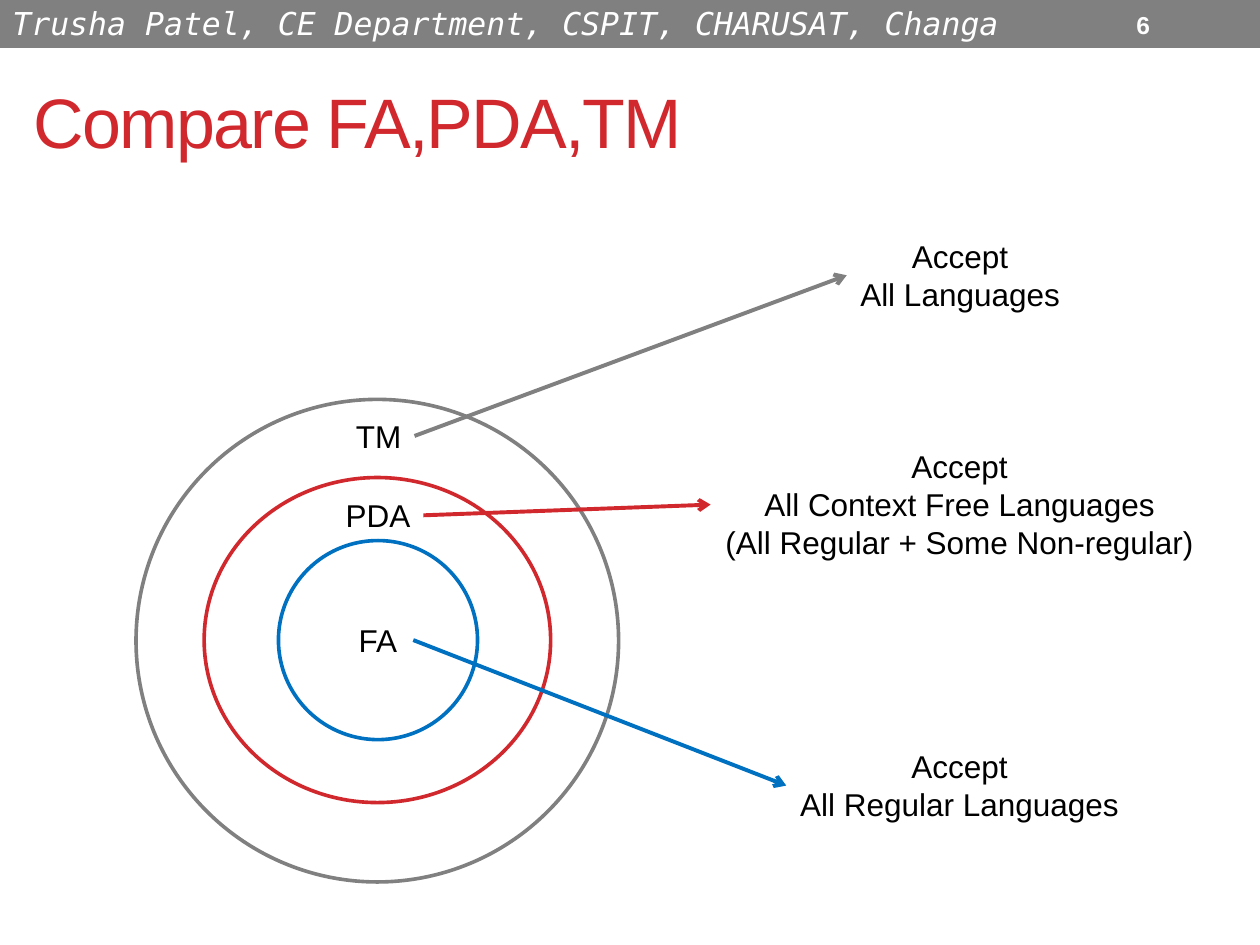
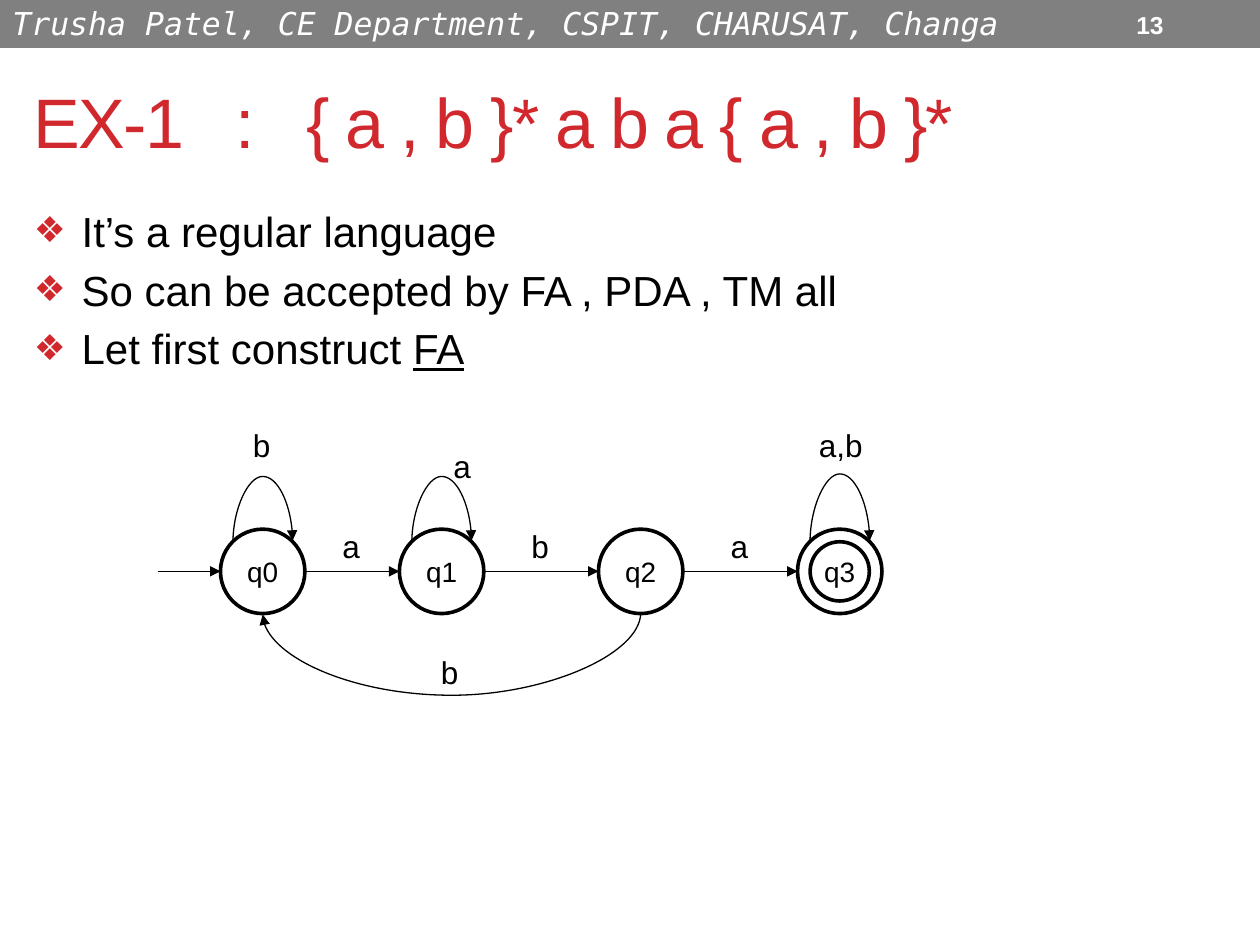
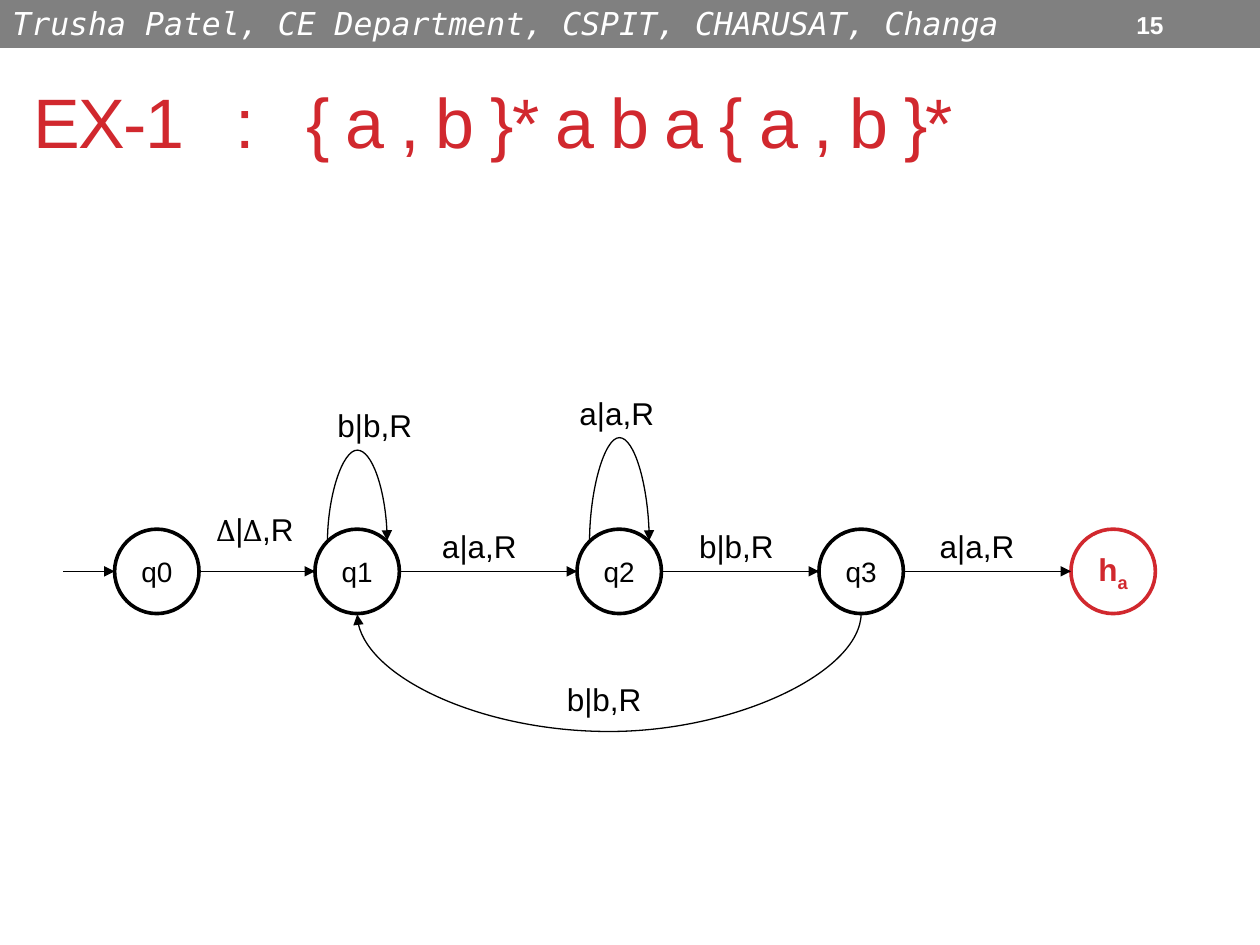
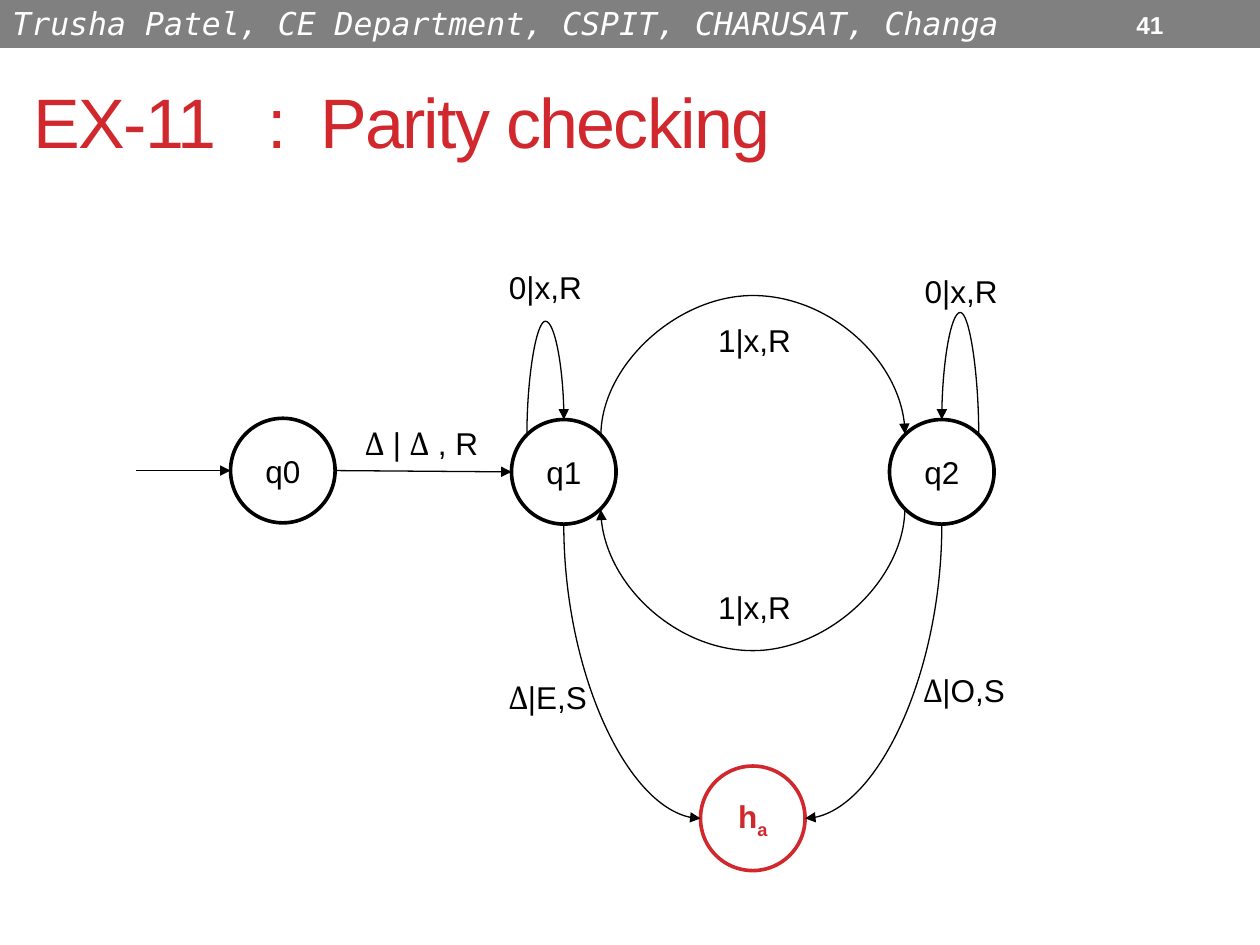
from itertools import groupby
from math import cos, radians, sin

from lxml import etree
from pptx import Presentation
from pptx.dml.color import RGBColor
from pptx.enum.shapes import MSO_CONNECTOR, MSO_SHAPE
from pptx.enum.text import MSO_ANCHOR, MSO_AUTO_SIZE, PP_ALIGN
from pptx.oxml.ns import qn
from pptx.util import Inches, Pt

STRAIGHT, CURVE = MSO_CONNECTOR.STRAIGHT, MSO_CONNECTOR.CURVE
RECTANGLE, OVAL = MSO_SHAPE.RECTANGLE, MSO_SHAPE.OVAL
MIDDLE, CENTER, LEFT_ALIGN = MSO_ANCHOR.MIDDLE, PP_ALIGN.CENTER, PP_ALIGN.LEFT
FIT_TEXT = MSO_AUTO_SIZE.SHAPE_TO_FIT_TEXT

RED, GREY, BLUE, BLACK, WHITE = "D1282E", "808080", "0070C0", "000000", "FFFFFF"
RING_WIDTH = 2.08
DELTAS = "∆Δ"
rgb = RGBColor.from_string

# Connection sites of an ellipse, counterclockwise from the top
TOP, TOP_LEFT, LEFT, BOTTOM_LEFT, BOTTOM, BOTTOM_RIGHT, RIGHT, TOP_RIGHT = range(8)
CORNER = "corner"
FLAT = 1 / 72  # least depth of a curved connector, in inches


def write_line(para, text, size, colour=BLACK, font="Arial", align=LEFT_ALIGN):
    """Fill a paragraph, with the deltas in spans of their own; return the spans."""
    para.alignment = align
    spans = []
    for is_delta, letters in groupby(text, lambda letter: letter in DELTAS):
        span = para.add_run()
        span.text = "".join(letters)
        span.font.name = "Cambria" if is_delta else font
        span.font.size = Pt(size)
        span.font.color.rgb = rgb(colour)
        spans.append(span)
    return spans


def add_arrow(page, kind, start, end, colour, width, head):
    arrow = page.shapes.add_connector(kind, *map(Inches, start + end))
    arrow.line.color.rgb = rgb(colour)
    arrow.line.width = Pt(width)
    etree.SubElement(arrow.line._get_or_add_ln(), qn("a:tailEnd"), type=head)
    etree.SubElement(arrow._element.spPr, qn("a:effectLst"))
    return arrow


deck = Presentation()
deck.slide_width, deck.slide_height = Inches(10), Inches(7.5)
blank = deck.slide_layouts[6]

# Band, slide number and title of every slide
aba_title = "EX-1   :   { a , b }* a b a { a , b }*"
headings = [
    ("6", "Compare FA,PDA,TM"),
    ("13", aba_title),
    ("15", aba_title),
    ("41", "EX-11   :  Parity checking"),
]
pages = []
for number, title in headings:
    page = deck.slides.add_slide(blank)
    pages.append(page)
    band = page.shapes.add_shape(RECTANGLE, 0, Inches(-0.02), Inches(10), Inches(0.4))
    band.shadow.inherit = False
    band.fill.solid()
    band.fill.fore_color.rgb = rgb(GREY)
    band.line.color.rgb = rgb(GREY)
    band.line.width = Pt(0.75)
    band.text_frame.vertical_anchor = MSO_ANCHOR.TOP
    author = write_line(band.text_frame.paragraphs[0],
                        "Trusha Patel, CE Department, CSPIT, CHARUSAT, Changa",
                        18, WHITE, "DejaVu Sans Mono")
    author[0].font.italic = True

    box = page.shapes.add_textbox(Inches(0.17), Inches(0.42), Inches(9.67), Inches(1.08))
    box.text_frame.word_wrap = True
    box.text_frame.vertical_anchor = MIDDLE
    for span in write_line(box.text_frame.paragraphs[0], title, 40, RED):
        span.font._element.set("spc", "-100")

    box = page.shapes.add_textbox(Inches(8.92), Inches(0.02), Inches(0.58), Inches(0.35))
    box.text_frame.word_wrap = True
    box.text_frame.vertical_anchor = MIDDLE
    write_line(box.text_frame.paragraphs[0], number, 14, WHITE)[0].font.bold = True

# Slide 1: nested language classes
compare = pages[0]
rings = [
    (2.21, 4.29, 1.58, 1.58, BLUE, "FA"),
    (1.62, 3.79, 2.75, 2.58, RED, ""),
    (1.08, 3.17, 3.83, 3.83, GREY, ""),
]
for left, top, width, height, colour, name in rings:
    ring = compare.shapes.add_shape(OVAL, *map(Inches, (left, top, width, height)))
    ring.shadow.inherit = False
    ring.fill.background()
    ring.line.color.rgb = rgb(colour)
    ring.line.width = Pt(RING_WIDTH)
    write_line(ring.text_frame.paragraphs[0], name, 18, align=CENTER)

captions = {
    "PDA": (2.64, 3.89, 0.72, 0.4, ["PDA"]),
    "TM": (2.72, 3.26, 0.57, 0.4, ["TM"]),
    "regular": (6.24, 5.88, 2.75, 0.71, ["Accept", "All Regular Languages"]),
    "context free": (5.64, 3.5, 3.95, 1.01, ["Accept", "All Context Free Languages",
                                             "(All Regular + Some Non-regular)"]),
    "all": (6.72, 1.83, 1.8, 0.71, ["Accept", "All Languages"]),
}
caption_boxes = {}
for name, (left, top, width, height, lines) in captions.items():
    box = compare.shapes.add_textbox(*map(Inches, (left, top, width, height)))
    box.text_frame.word_wrap = False
    box.text_frame.auto_size = FIT_TEXT
    for index, line in enumerate(lines):
        para = box.text_frame.add_paragraph() if index else box.text_frame.paragraphs[0]
        write_line(para, line, 18, align=CENTER)
    caption_boxes[name] = box

accepts = [
    ("TM", (3.28, 3.46), "all", (6.72, 2.19), GREY),
    ("PDA", (3.36, 4.09), "context free", (5.64, 4), RED),
    ("FA", (3.28, 5.08), "regular", (6.24, 6.23), BLUE),
]
for machine, start, language, end, colour in accepts:
    arrow = add_arrow(compare, STRAIGHT, start, end, colour, 2.25, "arrow")
    if machine in caption_boxes:
        arrow.begin_connect(caption_boxes[machine], 3)
    arrow.end_connect(caption_boxes[language], 1)

# Slide 2: bullets above the automaton
box = pages[1].shapes.add_textbox(Inches(0.17), Inches(1.58), Inches(9.67), Inches(1.6))
box.text_frame.word_wrap = True
bullets = [["It’s a regular language"], ["So can be accepted by FA , PDA , TM all"],
           ["Let first construct ", "FA"]]
for index, parts in enumerate(bullets):
    para = box.text_frame.add_paragraph() if index else box.text_frame.paragraphs[0]
    for part in parts:
        span = write_line(para, part, 24)[0]
        span.font.underline = True if part == "FA" else None
    style = para._p.get_or_add_pPr()
    style.set("marL", str(Inches(0.38)))
    style.set("indent", str(Inches(-0.38)))
    spacing = etree.SubElement(style, qn("a:spcBef"))
    etree.SubElement(spacing, qn("a:spcPct"), val="20000")
    bullet_colour = etree.SubElement(style, qn("a:buClr"))
    etree.SubElement(bullet_colour, qn("a:srgbClr"), val=RED)
    etree.SubElement(style, qn("a:buSzPct"), val="85000")
    etree.SubElement(style, qn("a:buFont"), typeface="Arial")
    etree.SubElement(style, qn("a:buChar"), char="❖")

# Slides 2 to 4: state diagrams
# states: name -> left, top; arrows: from, site, to, site, height of the bend
# labels: text, left, top, width
machines = [
    dict(
        page=pages[1], size=0.67, font_size=16, entry=1.25,
        states={"q0": (1.75, 4.2), "q1": (3.17, 4.2), "q2": (4.75, 4.2), "q3": (6.33, 4.2)},
        arrows=[
            ("q0", RIGHT, "q1", LEFT, None),
            ("q1", RIGHT, "q2", LEFT, None),
            ("q2", RIGHT, "q3", LEFT, None),
            ("q0", TOP_LEFT, "q0", TOP_RIGHT, 3.77),
            ("q1", TOP_LEFT, "q1", TOP_RIGHT, 3.77),
            ("q3", TOP_LEFT, "q3", TOP_RIGHT, 3.75),
            ("q2", BOTTOM, "q0", BOTTOM, 5.53),
        ],
        labels=[
            ("b", 1.91, 3.33, 0.34), ("b", 4.12, 4.13, 0.34), ("b", 3.4, 5.13, 0.34),
            ("a,b", 6.4, 3.33, 0.55), ("a", 2.62, 4.13, 0.34), ("a", 3.5, 3.5, 0.34),
            ("a", 5.7, 4.13, 0.34),
        ],
    ),
    dict(
        page=pages[2], size=0.67, font_size=16, entry=0.5,
        states={"q0": (0.91, 4.2), "q1": (2.5, 4.2), "q2": (4.58, 4.2), "q3": (6.5, 4.2),
                "ha": (8.5, 4.2)},
        arrows=[
            ("q0", RIGHT, "q1", LEFT, None),
            ("q1", RIGHT, "q2", LEFT, None),
            ("q2", RIGHT, "q3", LEFT, None),
            ("q3", RIGHT, "ha", LEFT, None),
            ("q1", TOP_LEFT, "q1", TOP_RIGHT, 3.56),
            ("q2", TOP_LEFT, "q2", TOP_RIGHT, 3.46),
            ("q3", BOTTOM, "q1", BOTTOM, 5.82),
        ],
        labels=[
            ("b|b,R", 2.58, 3.17, 0.8), ("b|b,R", 5.45, 4.13, 0.8), ("b|b,R", 4.4, 5.35, 0.8),
            ("a|a,R", 3.41, 4.13, 0.8), ("a|a,R", 4.5, 3.08, 0.8), ("a|a,R", 7.36, 4.13, 0.8),
            ("∆|∆,R", 1.62, 4, 0.82),
        ],
    ),
    dict(
        page=pages[3], size=0.83, font_size=18, entry=1.08,
        states={"q0": (1.83, 3.32), "q1": (4.06, 3.33), "q2": (7.06, 3.33), "ha": (5.56, 6.08)},
        arrows=[
            ("q0", RIGHT, "q1", LEFT, None),
            ("q1", TOP_RIGHT, "q2", TOP_LEFT, 2.33),
            ("q2", BOTTOM_LEFT, "q1", BOTTOM_RIGHT, 5.18),
            ("q1", BOTTOM, "ha", LEFT, CORNER),
            ("q2", BOTTOM, "ha", RIGHT, CORNER),
            ("q2", TOP_RIGHT, "q2", TOP, 2.48),
            ("q1", TOP_LEFT, "q1", TOP, 2.55),
        ],
        labels=[
            ("1|x,R", 5.6, 2.5, 0.79), ("1|x,R", 5.6, 4.62, 0.79), ("0|x,R", 3.94, 2.08, 0.79),
            ("0|x,R", 7.24, 2.11, 0.79), ("Δ|E,S", 3.94, 5.33, 0.82),
            ("Δ|O,S", 7.23, 5.28, 0.85), ("Δ | Δ , R", 2.8, 3.32, 1.1),
        ],
    ),
]

for machine in machines:
    page, size, states = machine["page"], machine["size"], machine["states"]
    circles, sites = {}, {}
    for name, (left, top) in states.items():
        halting = name == "ha"
        colour = RED if halting else BLACK
        circle = page.shapes.add_shape(OVAL, *map(Inches, (left, top, size, size)))
        circle.shadow.inherit = False
        circle.fill.background()
        circle.line.color.rgb = rgb(colour)
        circle.line.width = Pt(RING_WIDTH)
        circle.text_frame.vertical_anchor = MIDDLE
        para = circle.text_frame.paragraphs[0]
        if halting:
            for letter in name:
                span = write_line(para, letter, 18, colour, align=CENTER)[0]
                span.font.bold = True
            span.font._element.set("baseline", "-25000")
        else:
            write_line(para, name, machine["font_size"], align=CENTER)
        circles[name] = circle
        for site in range(8):
            angle = radians(90 + 45 * site)
            sites[name, site] = (left + size / 2 * (1 + cos(angle)),
                                 top + size / 2 * (1 - sin(angle)))

    first = sites["q0", LEFT]
    add_arrow(page, STRAIGHT, (machine["entry"], first[1]), first, BLACK, 0.75, "triangle")

    for source, source_site, target, target_site, bend in machine["arrows"]:
        start, end = sites[source, source_site], sites[target, target_site]
        kind = STRAIGHT if bend is None else CURVE
        arrow = add_arrow(page, kind, start, end, BLACK, 0.75, "triangle")
        joints = arrow._element.nvCxnSpPr.cNvCxnSpPr
        for tag, name, site in (("a:stCxn", source, source_site),
                                ("a:endCxn", target, target_site)):
            etree.SubElement(joints, qn(tag), id=str(circles[name].shape_id), idx=str(site))
        if bend is None:
            continue

        # A curve leaves vertically: turn its frame by 90 degrees about the centre
        reach = (end[1] if bend == CORNER else bend) - start[1]
        depth, span_width = max(abs(end[1] - start[1]), FLAT), abs(end[0] - start[0])
        arrow.left = Inches((start[0] + end[0] - depth) / 2)
        arrow.top = Inches((start[1] + end[1] - span_width) / 2)
        arrow.width, arrow.height = Inches(depth), Inches(span_width)
        frame = arrow._element.spPr.find(qn("a:xfrm"))
        frame.set("rot", str(90 * 60000))
        frame.set("flipH", str(int(reach < 0)))
        frame.set("flipV", str(int(end[0] > start[0])))
        geometry = arrow._element.spPr.find(qn("a:prstGeom"))
        if bend == CORNER:
            geometry.set("prst", "curvedConnector2")
        else:
            etree.SubElement(geometry.find(qn("a:avLst")), qn("a:gd"), name="adj1",
                             fmla=f"val {round(abs(reach) / depth * 100000)}")

    for text, left, top, width in machine["labels"]:
        box = page.shapes.add_textbox(*map(Inches, (left, top, width, 0.4)))
        box.text_frame.word_wrap = False
        box.text_frame.auto_size = FIT_TEXT
        write_line(box.text_frame.paragraphs[0], text, 18)

# Inner ring of the accepting state on slide 2
ring = pages[1].shapes.add_shape(OVAL, *map(Inches, (6.43, 4.3, 0.47, 0.47)))
ring.shadow.inherit = False
ring.fill.background()
ring.line.color.rgb = rgb(BLACK)
ring.line.width = Pt(RING_WIDTH)

deck.save("out.pptx")
